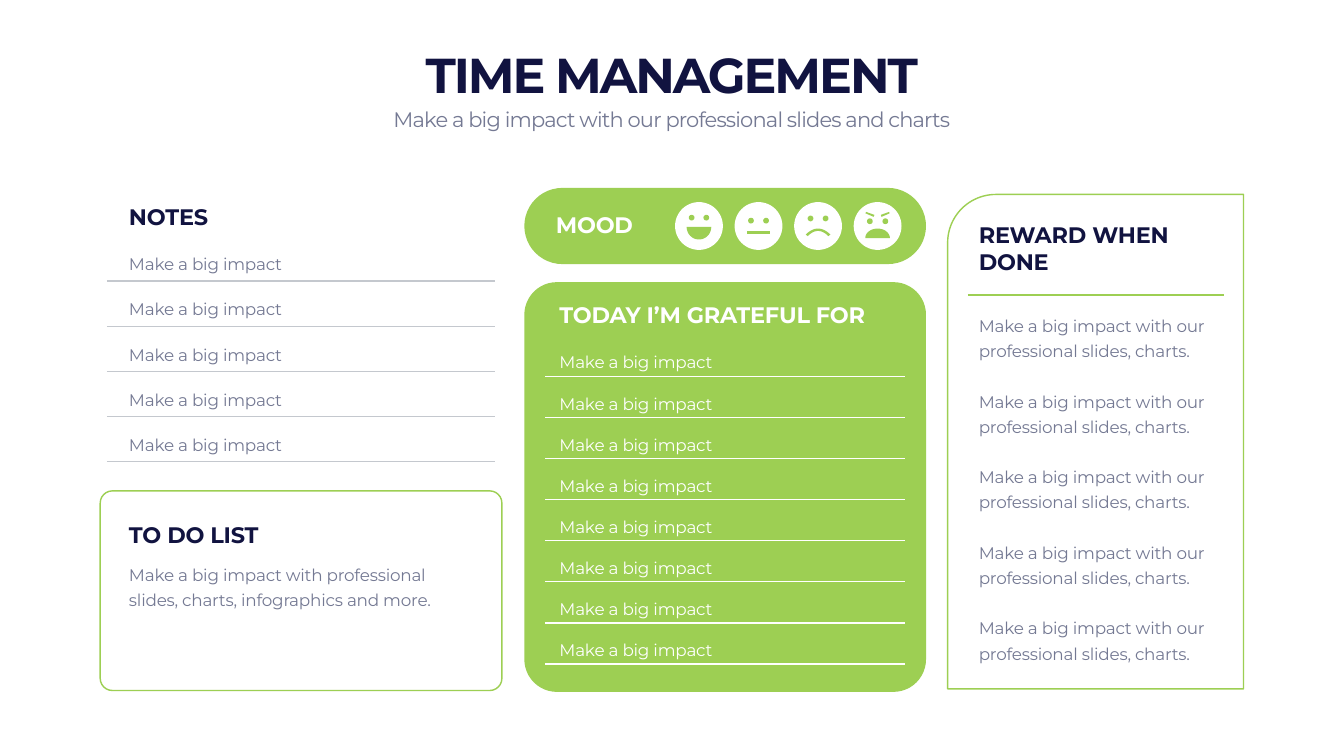
from math import cos, pi, sin

from lxml.etree import SubElement
from pptx import Presentation
from pptx.dml.color import RGBColor
from pptx.enum.shapes import MSO_CONNECTOR, MSO_SHAPE
from pptx.enum.text import MSO_ANCHOR, MSO_AUTO_SIZE, PP_ALIGN
from pptx.oxml.ns import qn
from pptx.util import Cm, Pt

COLORS = {"green": "9DCF53", "navy": "111340", "gray": "747993",
          "rule": "C4C8CE", "white": "FFFFFF"}
FONT = "Montserrat"
IMPACT = "Make a big impact"


def rgb(name):
    """Return the named colour."""
    return RGBColor.from_string(COLORS[name])


def paint(shape, fill=None, line=None):
    """Give a shape its fill and outline, without a shadow."""
    shape.shadow.inherit = False
    if fill:
        shape.fill.solid()
        shape.fill.fore_color.rgb = rgb(fill)
    else:
        shape.fill.background()
    if line:
        shape.line.color.rgb = rgb(line)
        shape.line.width = Pt(2)
    else:
        shape.line.fill.background()
    return shape


def add_panel(page, kind, box, corner, fill=None, line=None):
    """Draw a panel with rounded corners."""
    panel = page.shapes.add_shape(kind, *map(Cm, box))
    panel.adjustments[0] = corner
    return paint(panel, fill, line)


def add_rule(page, left, top, width, color):
    """Draw a horizontal rule."""
    rule = page.shapes.add_connector(
        MSO_CONNECTOR.STRAIGHT, Cm(left), Cm(top), Cm(left + width), Cm(top))
    rule.line.color.rgb = rgb(color)
    rule.line.width = Pt(2)
    SubElement(rule.element.spPr, qn("a:effectLst"))


def add_text(page, text, box, color, size=24, bold=False, tracking=-0.3,
             leading=None, anchor=MSO_ANCHOR.MIDDLE, align=PP_ALIGN.LEFT):
    """Add a text box holding a single run."""
    frame = page.shapes.add_textbox(*map(Cm, box)).text_frame
    frame.word_wrap = True
    frame.auto_size = MSO_AUTO_SIZE.SHAPE_TO_FIT_TEXT
    frame.vertical_anchor = anchor
    para = frame.paragraphs[0]
    para.alignment = align
    if leading:
        para.line_spacing = Pt(leading)
    span = para.add_run()
    span.text = text
    span.font.name = FONT
    span.font.size = Pt(size)
    span.font.bold = bold
    span.font.color.rgb = rgb(color)
    span.font._element.set("spc", str(round(tracking * 100)))


def add_heading(page, text, box, color="navy", anchor=MSO_ANCHOR.BOTTOM):
    """Add the bold heading of a panel."""
    add_text(page, text, box, color, size=32, bold=True, anchor=anchor)


def add_body(page, text, box, color="gray", anchor=MSO_ANCHOR.MIDDLE):
    """Add body text with fixed leading."""
    add_text(page, text, box, color, leading=36, anchor=anchor)


def half_disc(top, height, start):
    """Return the points of a half ellipse that begins at an angle."""
    angles = [start + pi * step / 24 for step in range(25)]
    return [(0.62 * cos(angle), top + height * sin(angle)) for angle in angles]


def arch(half_width, peak, drop):
    """Return the points of a parabola from left to right."""
    steps = [step / 12 for step in range(-12, 13)]
    return [(half_width * step, peak + drop * step ** 2) for step in steps]


def faces():
    """Return the eye position and the polygons of each mood."""
    neutral = [(-0.57, 0.25), (0.57, 0.25), (0.57, 0.41), (-0.57, 0.41)]
    frown = arch(0.62, 0.13, 0.3) + arch(0.52, 0.25, 0.26)[::-1]
    brow = [(0.58, -0.71), (0.61, -0.64), (0.2, -0.46), (0.16, -0.56)]
    other_brow = [(-x, y) for x, y in brow]
    return [((0.37, -0.42), [half_disc(0.05, 0.63, 0)]),
            ((0.38, -0.27), [neutral]),
            ((0.38, -0.38), [frown]),
            ((0.39, -0.24), [half_disc(0.61, 0.48, pi), brow, other_brow])]


def add_face(page, center_x, center_y, eye, polygons):
    """Draw one mood face as a group around its centre."""
    group = page.shapes.add_group_shape()

    def disc(x, y, size, fill):
        box = (center_x + x - size / 2, center_y + y - size / 2, size, size)
        paint(group.shapes.add_shape(MSO_SHAPE.OVAL, *map(Cm, box)), fill)

    disc(0, 0, 2.41, "white")
    for side in (-1, 1):
        disc(side * eye[0], eye[1], 0.29, "green")
    for polygon in polygons:
        points = [(Cm(center_x + x), Cm(center_y + y)) for x, y in polygon]
        builder = group.shapes.build_freeform(*points[0])
        builder.add_line_segments(points[1:], close=True)
        paint(builder.convert_to_shape(), "green")


def add_header(page, box):
    """Place the title and the subtitle."""
    left, top, width, height = box
    add_text(page, "TIME MANAGEMENT", (left, top, width, 3.25), "navy", size=70,
             bold=True, tracking=-2.9, anchor=MSO_ANCHOR.BOTTOM, align=PP_ALIGN.CENTER)
    add_text(page, "Make a big impact with our professional slides and charts",
             (left, top + 3.15, width, height - 3.15), "gray", size=30, tracking=-1.2,
             anchor=MSO_ANCHOR.TOP, align=PP_ALIGN.CENTER)


def add_notes(page, box):
    """Place the notes heading and its ruled rows."""
    left, top, width, _ = box
    add_heading(page, "NOTES", (left + 1.2, top, width - 2.1, 1.63))
    for row in range(5):
        line = top + 4.09 + 2.27 * row
        add_rule(page, left + 0.33, line, width - 0.66, "rule")
        add_body(page, IMPACT, (left + 1.2, line - 1.69, width - 2.1, 1.42))


def add_to_do(page, box):
    """Place the to-do panel."""
    left, top, width, _ = box
    add_panel(page, MSO_SHAPE.ROUNDED_RECTANGLE, box, 0.061, line="green")
    add_heading(page, "TO DO LIST", (left + 1.2, top + 1.37, width - 2.79, 1.63))
    add_body(page, "Make a big impact with professional slides, charts, infographics and more.",
             (left + 1.2, top + 3.35, width - 2.79, 2.72), anchor=MSO_ANCHOR.TOP)


def add_mood(page, box):
    """Place the mood bar with its faces."""
    left, top, _, height = box
    add_panel(page, MSO_SHAPE.ROUNDED_RECTANGLE, box, 0.5, fill="green")
    add_heading(page, "MOOD", (left + 1.34, top + 1.04, 6.1, 1.63), "white", MSO_ANCHOR.MIDDLE)
    for index, (eye, polygons) in enumerate(faces()):
        add_face(page, left + 8.8 + 3 * index, top + height / 2, eye, polygons)


def add_grateful(page, box):
    """Place the gratitude panel with its ruled rows."""
    left, top, width, _ = box
    add_panel(page, MSO_SHAPE.ROUNDED_RECTANGLE, box, 0.081, fill="green")
    add_heading(page, "TODAY I’M GRATEFUL FOR",
                (left + 1.52, top + 0.79, width - 2.79, 1.63), "white")
    for row in range(8):
        line = top + 4.75 + 2.07 * row
        add_rule(page, left + 1.06, line, width - 2.1, "white")
        add_body(page, IMPACT, (left + 1.52, line - 1.55, width - 2.79, 1.42), "white")


def add_reward(page, box):
    """Place the reward panel with its list."""
    left, top, width, _ = box
    panel = add_panel(page, MSO_SHAPE.ROUND_1_RECTANGLE, box, 0.163, line="green")
    panel.element.spPr.get_or_add_xfrm().set("flipH", "1")
    add_heading(page, "REWARD WHEN DONE", (left + 1.32, top + 1.17, width - 2.13, 3))
    add_rule(page, left + 1.02, top + 5.06, width - 2.01, "green")
    for row in range(5):
        add_body(page, "Make a big impact with our professional slides, charts.",
                 (left + 1.32, top + 5.77 + 3.81 * row, width - 2.13, 2.72))


deck = Presentation()
deck.slide_width, deck.slide_height = Cm(67.72), Cm(38.1)
page = deck.slides.add_slide(deck.slide_layouts[6])
add_header(page, (4.22, 2.08, 59.26, 4.7))
add_notes(page, (5.05, 10.08, 20.24, 13.16))
add_to_do(page, (5.05, 24.74, 20.24, 10.06))
add_mood(page, (26.42, 9.47, 20.24, 3.84))
add_grateful(page, (26.42, 14.22, 20.24, 20.65))
add_reward(page, (47.75, 9.8, 14.91, 24.92))
deck.save("out.pptx")
